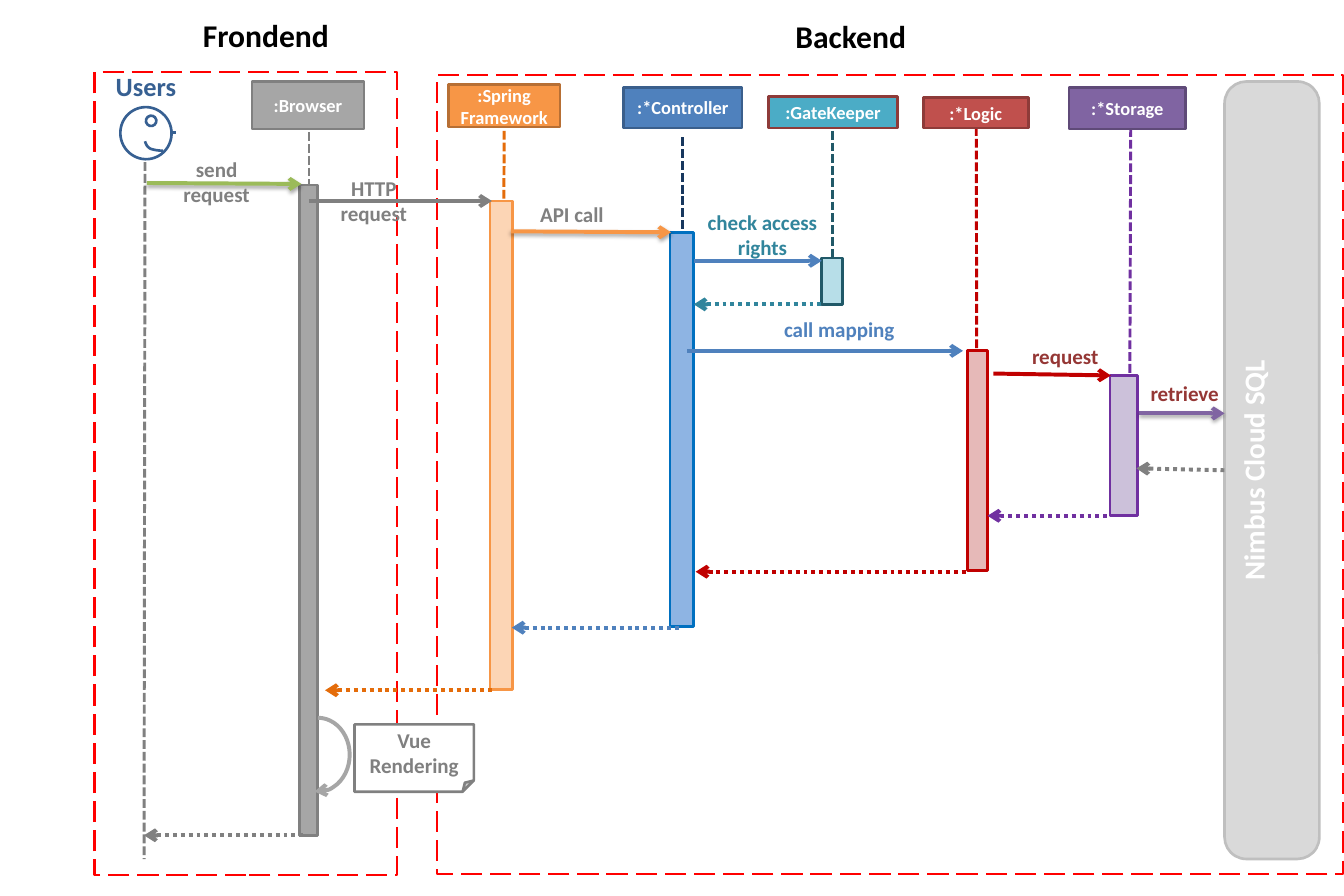
from collections import namedtuple
from dataclasses import dataclass

from lxml import etree
from pptx import Presentation
from pptx.dml.color import RGBColor
from pptx.enum.dml import MSO_LINE
from pptx.enum.shapes import MSO_CONNECTOR, MSO_SHAPE
from pptx.enum.text import MSO_ANCHOR, MSO_AUTO_SIZE, PP_ALIGN
from pptx.oxml.ns import qn
from pptx.util import Inches, Pt

RECT, ROUND, NOTE = MSO_SHAPE.RECTANGLE, MSO_SHAPE.ROUNDED_RECTANGLE, MSO_SHAPE.FOLDED_CORNER
DISC, ARC = MSO_SHAPE.FLOWCHART_CONNECTOR, MSO_SHAPE.ARC
LONG, DASH, DOT = MSO_LINE.LONG_DASH, MSO_LINE.SQUARE_DOT, MSO_LINE.ROUND_DOT
LEFT, MID = PP_ALIGN.LEFT, PP_ALIGN.CENTER
TOP, CORE = MSO_ANCHOR.TOP, MSO_ANCHOR.MIDDLE
GROW, FIXED = MSO_AUTO_SIZE.SHAPE_TO_FIT_TEXT, MSO_AUTO_SIZE.NONE
STRAIGHT = MSO_CONNECTOR.STRAIGHT

# Head fill and edge, lifeline, bar fill and edge of one actor
Tone = namedtuple("Tone", "head edge life bar rim")
Actor = namedtuple("Actor", "name tone head life bar")


@dataclass(frozen=True)
class Theme:
    """Colours, font and type sizes of the diagram."""
    font: str = "Calibri"
    title: int = 24
    store: int = 22
    user: int = 20
    label: int = 16
    head: int = 14
    thin: float = 2
    life: float = 2.25
    bold: float = 3
    white: str = "FFFFFF"
    black: str = "000000"
    frame: str = "FF0000"
    gray: str = "808080"
    silver: str = "A6A6A6"
    cloud: str = "D9D9D9"
    rim: str = "BFBFBF"
    navy: str = "376092"
    blue: str = "4F81BD"
    teal: str = "31859C"
    green: str = "9BBB59"
    orange: str = "F79646"
    rust: str = "E46C0A"
    red: str = "C00000"
    wine: str = "953735"
    purple: str = "7030A0"
    mauve: str = "8064A2"
    browser: Tone = Tone("A6A6A6", "808080", "808080", "A6A6A6", "808080")
    spring: Tone = Tone("F79646", "B76F34", "E46C0A", "FCD5B5", "F79646")
    control: Tone = Tone("4F81BD", "3A5F8C", "17375E", "8EB4E3", "0070C0")
    gate: Tone = Tone("4BACC6", "8E3B39", "215968", "B7DEE8", "215968")
    logic: Tone = Tone("C0504D", "8E3B39", "C00000", "E6B9B8", "C00000")
    storage: Tone = Tone("8064A2", "5F4A78", "7030A0", "CCC1DA", "7030A0")


T = Theme()

ACTORS = [
    Actor(":Browser", T.browser, (2.66, 0.86, 1.18, 0.5), (3.26, 1.27, 3.26, 8.81), (3.16, 1.95, 0.19, 6.86)),
    Actor(":Spring\nFramework", T.spring, (4.73, 0.89, 1.18, 0.45), (5.32, 1.38, 5.29, 7.28), (5.17, 2.12, 0.24, 5.15)),
    Actor(":*Controller", T.control, (6.58, 0.92, 1.25, 0.43), (7.2, 1.45, 7.2, 5.2), (7.07, 2.45, 0.25, 4.16)),
    Actor(":GateKeeper", T.gate, (8.11, 1.02, 1.36, 0.33), (8.78, 1.38, 8.78, 3.2), (8.67, 2.72, 0.22, 0.49)),
    Actor(":*Logic", T.logic, (9.74, 1.03, 1.11, 0.32), (10.3, 1.34, 10.31, 6.03), (10.21, 3.7, 0.21, 2.32)),
    Actor(":*Storage", T.storage, (11.28, 0.92, 1.23, 0.44), (11.93, 1.35, 11.92, 4.15), (11.71, 3.96, 0.29, 1.48)),
]
# Ends, colour and whether the arrow casts a shadow
CALLS = [
    ((1.55, 1.93, 3.18, 1.94), T.green, True),
    ((3.26, 2.12, 5.19, 2.12), T.gray, False),
    ((5.39, 2.44, 7.08, 2.45), T.orange, True),
    ((7.32, 2.75, 8.67, 2.75), T.blue, False),
    ((7.25, 3.7, 10.16, 3.7), T.blue, False),
    ((10.48, 3.94, 11.72, 3.96), T.red, False),
    ((12.02, 4.36, 12.92, 4.36), T.mauve, True),
]
# Replies point at their left end
REPLIES = [
    ((7.32, 3.21, 8.67, 3.21), T.teal),
    ((11.99, 4.94, 12.92, 4.96), T.gray),
    ((10.42, 5.44, 11.71, 5.44), T.purple),
    ((7.34, 6.03, 10.21, 6.03), T.red),
    ((5.4, 6.62, 7.2, 6.62), T.blue),
    ((3.43, 7.28, 5.19, 7.28), T.rust),
    ((1.52, 8.81, 3.2, 8.81), T.gray),
]
LABELS = [
    ("Frondend", (1.26, 0.12, 3.09, 0.5), T.black, T.title, MID, GROW),
    ("Backend", (7.53, 0.13, 2.89, 0.5), T.black, T.title, MID, GROW),
    ("Users", (1, 0.69, 1.08, 0.49), T.navy, T.user, MID, FIXED),
    ("send\nrequest", (1.81, 1.6, 0.95, 0.64), T.gray, T.label, MID, GROW),
    ("HTTP\nrequest", (3.48, 1.8, 0.93, 0.64), T.gray, T.label, MID, GROW),
    ("API call", (5.6, 2.08, 0.99, 0.37), T.gray, T.label, LEFT, GROW),
    ("check access rights", (7.36, 2.16, 1.37, 0.64), T.teal, T.label, MID, GROW),
    ("call mapping", (8.13, 3.29, 1.45, 0.37), T.blue, T.label, MID, GROW),
    ("request", (10.79, 3.57, 1.22, 0.37), T.wine, T.label, LEFT, GROW),
    ("retrieve", (12.04, 3.96, 1.22, 0.37), T.wine, T.label, LEFT, GROW),
]
MOUTH = [
    ((1.72, 1.59), (1.67, 1.59), (1.62, 1.58), (1.59, 1.57)),
    ((1.59, 1.57), (1.55, 1.55), (1.54, 1.52), (1.53, 1.49)),
]


def put(item, form):
    """Set each format value on the item."""
    for key, value in form.items():
        setattr(item, key, value)


def stroke(item, color, width, dash=None, tip=None):
    """Style an outline; tip is headEnd or tailEnd for an arrow."""
    item.line.color.rgb = RGBColor.from_string(color)
    put(item.line, {"width": Pt(width), "dash_style": dash})
    if tip:
        line = item._element.spPr.find(qn("a:ln"))
        etree.SubElement(line, qn("a:" + tip), type="arrow")


def write(item, text, color, size, align=MID, form=None):
    """Fill a text frame with one paragraph per line."""
    frame = item.text_frame
    put(frame, {"text": text, "word_wrap": True, **(form or {})})
    for para in frame.paragraphs:
        para.alignment = align
        put(para.font, {"name": T.font, "size": Pt(size), "bold": True})
        para.font.color.rgb = RGBColor.from_string(color)


def block(shapes, kind, place, fill, edge, width=T.thin, dash=None, tip=None):
    """Add a preset shape; no fill colour leaves it hollow."""
    item = shapes.add_shape(kind, *map(Inches, place))
    item.shadow.inherit = False
    if fill:
        item.fill.solid()
        item.fill.fore_color.rgb = RGBColor.from_string(fill)
    else:
        item.fill.background()
    stroke(item, edge, width, dash, tip)
    return item


def link(shapes, ends, color, width, dash=None, tip=None, shade=False):
    """Add a straight line, with a soft shadow on request."""
    item = shapes.add_connector(STRAIGHT, *map(Inches, ends))
    stroke(item, color, width, dash, tip)
    effect = etree.SubElement(item._element.spPr, qn("a:effectLst"))
    if shade:
        cast = etree.SubElement(effect, qn("a:outerShdw"), blurRad=str(Pt(3.1)),
                                dist=str(Pt(1.8)), dir="5400000", rotWithShape="0")
        tint = etree.SubElement(cast, qn("a:srgbClr"), val=T.black)
        etree.SubElement(tint, qn("a:alpha"), val="35000")


def label(shapes, text, place, color, size, align, fit):
    """Add a text box."""
    box = shapes.add_textbox(*map(Inches, place))
    write(box, text, color, size, align, {"auto_size": fit})


def curve(points, steps=10):
    """Return points along a cubic curve, in EMU."""
    spots = []
    for step in range(steps + 1):
        t = step / steps
        parts = ((1 - t) ** 3, 3 * t * (1 - t) ** 2, 3 * t * t * (1 - t), t ** 3)
        spots.append(tuple(Inches(sum(p * v for p, v in zip(parts, axis)))
                           for axis in zip(*points)))
    return spots


def face(shapes):
    """Draw the user icon as a group."""
    group = shapes.add_group_shape().shapes
    for place in ((1.27, 1.13, 0.54, 0.55), (1.54, 1.22, 0.11, 0.11)):
        put(block(group, DISC, place, T.white, T.navy), {"rotation": 347.2})
    link(group, (1.81, 1.4, 1.86, 1.4), T.navy, T.thin)
    spots = [spot for part in MOUTH for spot in curve(part)]
    pen = group.build_freeform(*spots[0])
    pen.add_line_segments(spots[1:], close=False)
    mouth = pen.convert_to_shape()
    mouth.shadow.inherit = False
    mouth.fill.background()
    stroke(mouth, T.navy, T.thin)


def store(shapes):
    """Draw the tall cloud database with upturned text."""
    item = block(shapes, ROUND, (12.92, 0.86, 1, 8.2), T.cloud, T.rim)
    item.adjustments[0] = 0.23
    write(item, "Nimbus Cloud SQL", T.white, T.store, MID, {"vertical_anchor": TOP})
    item.text_frame._txBody.bodyPr.set("vert", "vert270")


def render(shapes):
    """Draw the browser's loop and its note."""
    note = block(shapes, NOTE, (3.74, 7.64, 1.26, 0.71), T.white, T.gray)
    write(note, "Vue Rendering", T.gray, T.label, MID, {"vertical_anchor": CORE})
    loop = block(shapes, ARC, (3.02, 7.57, 0.67, 0.78), None, T.silver, T.bold, tip="tailEnd")
    loop.adjustments[0], loop.adjustments[1] = 162, 57.21


def main():
    """Build the sequence diagram."""
    deck = Presentation()
    put(deck, {"slide_width": Inches(14.18), "slide_height": Inches(9.45)})
    shapes = deck.slides.add_slide(deck.slide_layouts[6]).shapes
    for place in ((4.61, 0.79, 9.56, 8.43), (1, 0.76, 3.19, 8.47)):
        block(shapes, RECT, place, T.white, T.frame, dash=LONG)
    link(shapes, (1.53, 1.71, 1.52, 9.06), T.gray, T.life, DASH)
    for actor in ACTORS:
        tone = actor.tone
        link(shapes, actor.life, tone.life, T.life, DASH)
        block(shapes, RECT, actor.bar, tone.bar, tone.rim)
        head = block(shapes, RECT, actor.head, tone.head, tone.edge)
        write(head, actor.name, T.white, T.head, MID, {"vertical_anchor": CORE})
    face(shapes)
    store(shapes)
    render(shapes)
    for ends, color, shade in CALLS:
        link(shapes, ends, color, T.bold, tip="tailEnd", shade=shade)
    for ends, color in REPLIES:
        link(shapes, ends, color, T.bold, DOT, "headEnd")
    for row in LABELS:
        label(shapes, *row)
    deck.save("out.pptx")


main()
